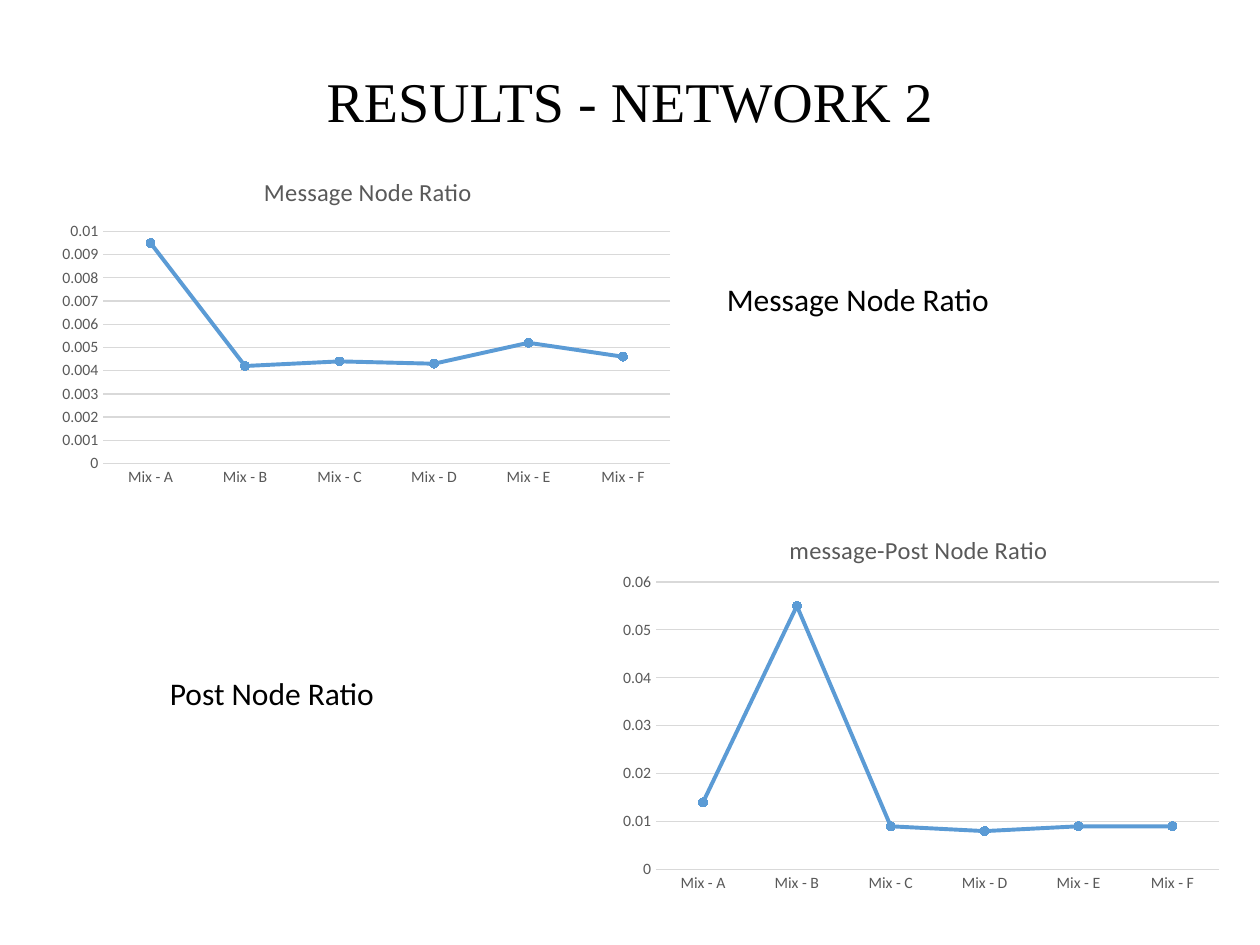
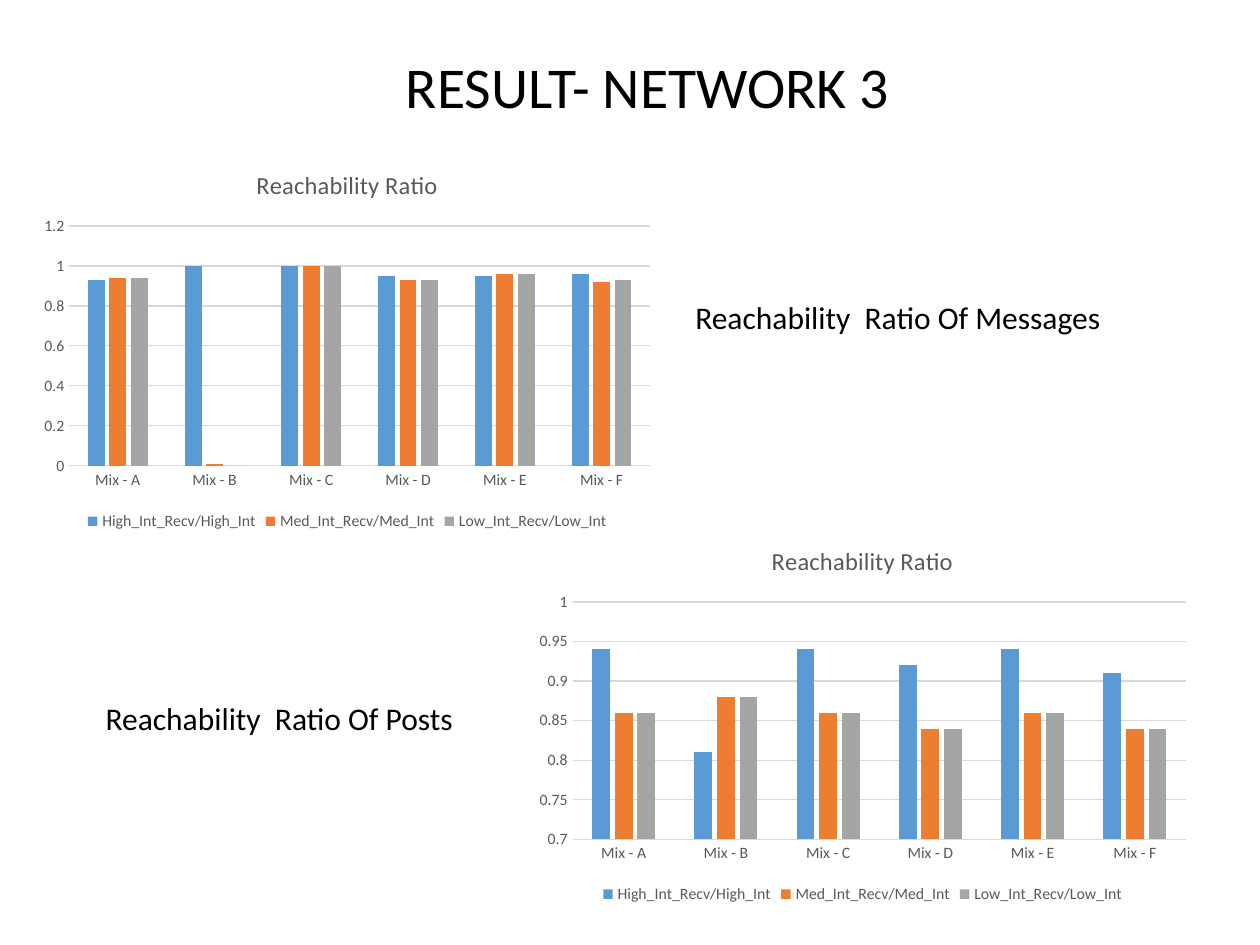
from pptx import Presentation
from pptx.chart.data import CategoryChartData
from pptx.dml.color import RGBColor
from pptx.enum.chart import XL_CHART_TYPE, XL_LEGEND_POSITION, XL_MARKER_STYLE, XL_TICK_MARK
from pptx.enum.text import MSO_ANCHOR, MSO_AUTO_SIZE, PP_ALIGN
from pptx.oxml import parse_xml
from pptx.oxml.ns import nsdecls, qn
from pptx.util import Pt

PX = 9144
STACK = XL_CHART_TYPE.LINE_MARKERS_STACKED
LINE = XL_CHART_TYPE.LINE_MARKERS
BAR = XL_CHART_TYPE.COLUMN_CLUSTERED
BOTTOM = XL_LEGEND_POSITION.BOTTOM
DOT = XL_MARKER_STYLE.CIRCLE
NO_TICK = XL_TICK_MARK.NONE
MIDDLE = MSO_ANCHOR.MIDDLE
CENTER = PP_ALIGN.CENTER
FIXED = MSO_AUTO_SIZE.NONE
GROW = MSO_AUTO_SIZE.SHAPE_TO_FIT_TEXT

SANS = "Calibri"
SERIF = "Times New Roman"
HUES = {"ink": "000000", "gray": "595959", "grid": "D9D9D9",
        "blue": "5B9BD5", "orange": "ED7D31", "silver": "A5A5A5"}
BARS = ("blue", "orange", "silver")
MIXES = [f"Mix - {mix}" for mix in "ABCDEF"]
LEVELS = ("High", "Med", "Low")


def hue(name):
    return RGBColor.from_string(HUES[name])


def px(*sizes):
    return [size * PX for size in sizes]


def style(font, size, color="ink", face=SANS):
    font.size = Pt(size)
    font.name = face
    font.bold = False
    font.color.rgb = hue(color)


def stroke(line, color, width):
    line.color.rgb = hue(color)
    line.width = Pt(width)


def add_page(deck, text, box, size, face=SANS):
    page = deck.slides.add_slide(deck.slide_layouts[5])
    title = page.shapes.title
    title.left, title.top, title.width, title.height = px(*box)
    frame = title.text_frame
    frame.text = text
    frame.auto_size = FIXED
    frame.vertical_anchor = MIDDLE
    para = frame.paragraphs[0]
    para.alignment = CENTER
    para.line_spacing = 0.9
    style(para.font, size, face=face)
    return page


def add_label(page, text, box):
    frame = page.shapes.add_textbox(*px(*box)).text_frame
    frame.text = text
    frame.word_wrap = False
    frame.auto_size = GROW
    style(frame.paragraphs[0].font, 18)


def set_plot(chart, plot):
    area = chart.element.find(".//" + qn("c:plotArea"))
    for old in area.findall(qn("c:layout")):
        area.remove(old)
    modes = '<c:layoutTarget val="inner"/><c:xMode val="edge"/><c:yMode val="edge"/>'
    sides = "".join(f'<c:{key} val="{val}"/>' for key, val in zip("xywh", plot))
    area.insert(0, parse_xml(
        f'<c:layout {nsdecls("c")}><c:manualLayout>{modes}{sides}'
        '</c:manualLayout></c:layout>'))


def set_axes(chart, scale):
    cat, val = chart.category_axis, chart.value_axis
    for axis in (cat, val):
        axis.major_tick_mark = axis.minor_tick_mark = NO_TICK
        style(axis.tick_labels.font, 9, "gray")
    cat.has_major_gridlines = False
    stroke(cat.format.line, "grid", 0.75)
    val.has_major_gridlines = True
    stroke(val.major_gridlines.format.line, "grid", 0.75)
    val.format.line.fill.background()
    val.minimum_scale, val.maximum_scale, val.major_unit = scale


def add_chart(page, kind, title, box, rows, scale, plot):
    data = CategoryChartData()
    data.categories = MIXES
    for name, vals in rows.items():
        data.add_series(name, vals)
    chart = page.shapes.add_chart(kind, *px(*box), data).chart
    style(chart.font, 10)
    chart.has_title = True
    frame = chart.chart_title.text_frame
    frame.text = title
    style(frame.paragraphs[0].font, 14, "gray")
    chart.chart_title.include_in_layout = False
    chart.has_legend = False
    set_axes(chart, scale)
    set_plot(chart, plot)
    return chart


def add_line(page, kind, title, box, vals, scale, plot):
    chart = add_chart(page, kind, title, box, {"Series 1": vals}, scale, plot)
    chart.plots[0].vary_by_categories = False
    row = chart.plots[0].series[0]
    row.smooth = False
    stroke(row.format.line, "blue", 2.25)
    mark = row.marker
    mark.style = DOT
    mark.size = 5
    mark.format.fill.solid()
    mark.format.fill.fore_color.rgb = hue("blue")
    stroke(mark.format.line, "blue", 0.75)


def add_bars(page, box, vals, scale, plot):
    rows = {f"{level}_Int_Recv/{level}_Int": row for level, row in zip(LEVELS, vals)}
    chart = add_chart(page, BAR, "Reachability Ratio", box, rows, scale, plot)
    bars = chart.plots[0]
    bars.vary_by_categories = False
    bars.gap_width = 219
    bars.overlap = -27
    for row, color in zip(bars.series, BARS):
        row.format.fill.solid()
        row.format.fill.fore_color.rgb = hue(color)
    chart.has_legend = True
    chart.legend.position = BOTTOM
    chart.legend.include_in_layout = False
    style(chart.legend.font, 9, "gray")


def main():
    deck = Presentation()
    deck.slide_width, deck.slide_height = px(1000, 750)

    page = add_page(deck, "RESULTS - NETWORK 2", (69, 40, 862, 85), 32, SERIF)
    add_line(page, STACK, "Message Node Ratio", (42, 125, 500, 267),
             (0.0095, 0.0042, 0.0044, 0.0043, 0.0052, 0.0046),
             (0, 0.01, 0.001), (0.08, 0.22, 0.9, 0.69))
    add_line(page, LINE, "message-Post Node Ratio", (475, 408, 508, 317),
             (0.014, 0.055, 0.009, 0.008, 0.009, 0.009),
             (0, 0.06, 0.01), (0.09, 0.17, 0.88, 0.72))
    add_label(page, "Message Node Ratio", (567, 217, 231, 40))
    add_label(page, "Post Node Ratio", (125, 530, 184, 40))

    page = add_page(deck, "RESULT- NETWORK 3", (83, 25, 862, 93), 33)
    add_bars(page, (25, 118, 501, 307),
             ((0.93, 1, 1, 0.95, 0.95, 0.96),
              (0.94, 0.01, 1, 0.93, 0.96, 0.92),
              (0.94, 0, 1, 0.93, 0.96, 0.93)),
             (0, 1.2, 0.2), (0.06, 0.2, 0.92, 0.62))
    add_bars(page, (417, 417, 535, 304),
             ((0.94, 0.81, 0.94, 0.92, 0.94, 0.91),
              (0.86, 0.88, 0.86, 0.84, 0.86, 0.84),
              (0.86, 0.88, 0.86, 0.84, 0.86, 0.84)),
             (0.7, 1, 0.05), (0.07, 0.2, 0.91, 0.62))
    add_label(page, "Reachability  Ratio Of Messages", (542, 232, 345, 40))
    add_label(page, "Reachability  Ratio Of Posts", (74, 550, 299, 40))

    deck.save("out.pptx")


if __name__ == "__main__":
    main()
